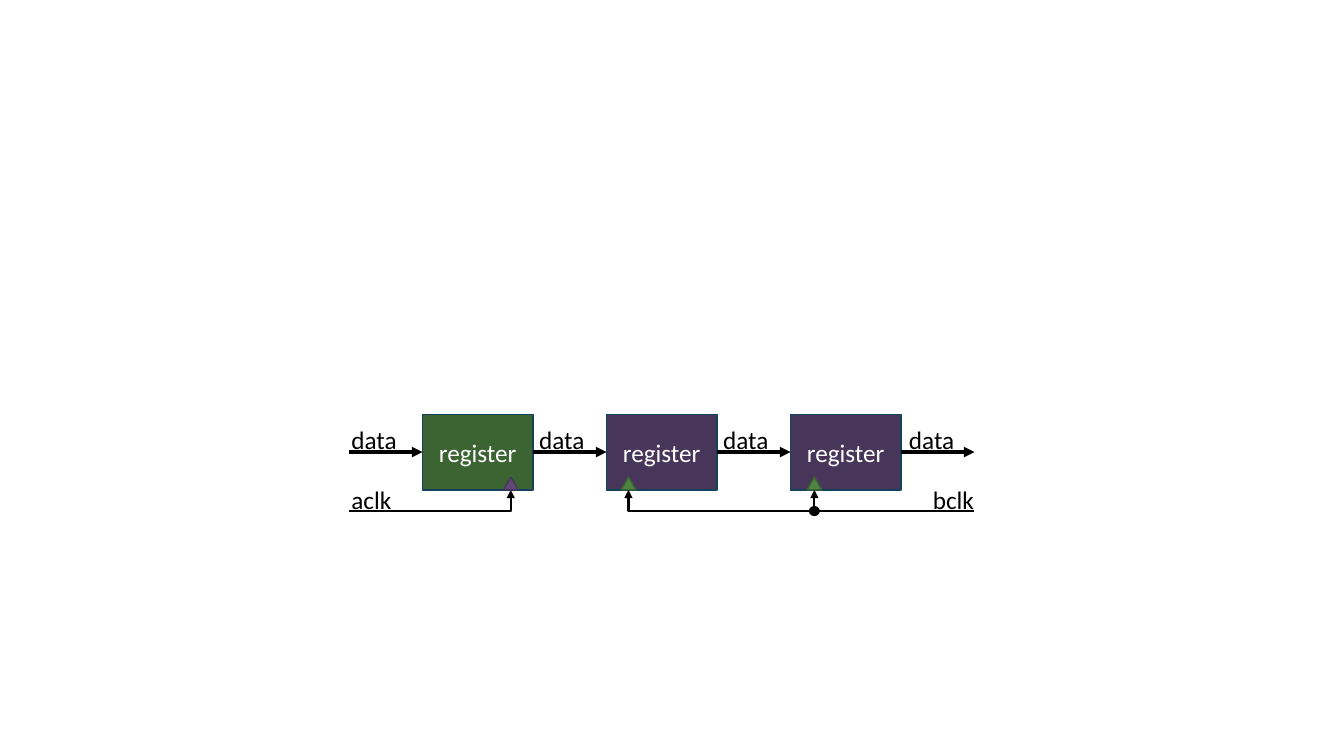
"""Draw a chain of three registers that crosses from one clock to another."""
from dataclasses import dataclass

from pptx import Presentation
from pptx.dml.color import RGBColor
from pptx.enum.shapes import MSO_CONNECTOR as Connector, MSO_SHAPE as Shape
from pptx.enum.text import MSO_ANCHOR as Anchor, MSO_AUTO_SIZE as AutoSize, PP_ALIGN as Align
from pptx.oxml.ns import qn
from pptx.util import Inches, Pt
from lxml.etree import SubElement


@dataclass(frozen=True)
class Theme:
    font: str = "Calibri"
    text_size: float = 18
    ink: str = "000000"
    paper: str = "FFFFFF"
    border: str = "14415C"
    green: str = "3B6432"
    light_green: str = "4E8542"
    purple: str = "48365A"
    light_purple: str = "604878"
    outline: float = 1
    data_wire: float = 2.5
    clock_wire: float = 1.5


@dataclass(frozen=True)
class Grid:
    left: float = 3.46
    top: float = 4.11
    column: float = 1.825
    row: float = 0.375

    def point(self, column, row):
        return Inches(self.left + column * self.column), Inches(self.top + row * self.row)

    def size(self, columns, rows):
        return Inches(columns * self.column), Inches(rows * self.row)


THEME = Theme()
GRID = Grid()
GAP = 0.4
DATA_ROW, CLOCK_ROW, REGISTER_ROWS = 1, 2.56, 2
END = 3 + GAP
PIN_SIZE = (0.08, 0.34)
DOT_SIZE = (0.06, 0.27)


def set_values(target, values):
    for name, value in values.items():
        setattr(target, name, value)


def write(shape, text, color, alignment, frame_values):
    frame = shape.text_frame
    set_values(frame, frame_values)
    paragraph = frame.paragraphs[0]
    paragraph.alignment = alignment
    run = paragraph.add_run()
    run.text = text
    set_values(run.font, {"name": THEME.font, "size": Pt(THEME.text_size)})
    run.font.color.rgb = RGBColor.from_string(color)


def add_block(slide, kind, position, size, fill, border=None):
    shape = slide.shapes.add_shape(kind, *GRID.point(*position), *GRID.size(*size))
    shape.shadow.inherit = False
    shape.fill.solid()
    shape.fill.fore_color.rgb = RGBColor.from_string(fill)
    if border:
        shape.line.color.rgb = RGBColor.from_string(border)
        shape.line.width = Pt(THEME.outline)
    else:
        shape.line.fill.background()
    return shape


def add_register(slide, stage, fill):
    shape = add_block(slide, Shape.RECTANGLE, (stage + GAP, 0),
                      (1 - GAP, REGISTER_ROWS), fill, THEME.border)
    write(shape, "register", THEME.paper, Align.CENTER,
          {"vertical_anchor": Anchor.MIDDLE, "word_wrap": True})


def add_pin(slide, column, fill, border):
    width, height = PIN_SIZE
    add_block(slide, Shape.ISOSCELES_TRIANGLE,
              (column - width / 2, REGISTER_ROWS - height), PIN_SIZE, fill, border)


def add_wire(slide, start, end, width, arrow=True, bent=False):
    kind = Connector.ELBOW if bent else Connector.STRAIGHT
    wire = slide.shapes.add_connector(kind, *GRID.point(*start), *GRID.point(*end))
    wire.line.color.rgb = RGBColor.from_string(THEME.ink)
    wire.line.width = Pt(width)
    properties = wire._element.spPr
    if bent:
        properties.find(qn("a:prstGeom")).set("prst", "bentConnector2")
    if arrow:
        SubElement(wire.line._get_or_add_ln(), qn("a:tailEnd"), type="triangle")
    SubElement(properties, qn("a:effectLst"))


def add_label(slide, text, column, row, columns):
    box = slide.shapes.add_textbox(*GRID.point(column, row), *GRID.size(columns, 1.07))
    write(box, text, THEME.ink, Align.LEFT,
          {"word_wrap": False, "auto_size": AutoSize.SHAPE_TO_FIT_TEXT})


def add_clocks(slide):
    source_pin, first_pin, second_pin = 0.88, 1.52, 2.53
    add_wire(slide, (0, CLOCK_ROW), (source_pin, REGISTER_ROWS), THEME.clock_wire, bent=True)
    add_wire(slide, (second_pin, CLOCK_ROW), (first_pin, REGISTER_ROWS),
             THEME.clock_wire, bent=True)
    add_wire(slide, (second_pin, CLOCK_ROW), (END, CLOCK_ROW), THEME.clock_wire, arrow=False)
    add_wire(slide, (second_pin, CLOCK_ROW), (second_pin, REGISTER_ROWS), THEME.clock_wire)
    width, height = DOT_SIZE
    add_block(slide, Shape.FLOWCHART_CONNECTOR,
              (second_pin - width / 2, CLOCK_ROW - height / 2), DOT_SIZE, THEME.ink)
    add_pin(slide, source_pin, THEME.light_purple, THEME.purple)
    for column in (first_pin, second_pin):
        add_pin(slide, column, THEME.light_green, THEME.green)
    for text, column in (("aclk", -0.04), ("bclk", 3.12)):
        add_label(slide, text, column, 1.73, 0.35)


def main():
    presentation = Presentation()
    set_values(presentation, {"slide_width": Inches(13.33), "slide_height": Inches(7.5)})
    slide = presentation.slides.add_slide(presentation.slide_layouts[6])
    for stage, fill in enumerate((THEME.green, THEME.purple, THEME.purple)):
        add_register(slide, stage, fill)
    for stage, label_column in enumerate((-0.04, 0.98, 1.98, 2.99)):
        add_wire(slide, (stage, DATA_ROW), (stage + GAP, DATA_ROW), THEME.data_wire)
        add_label(slide, "data", label_column, 0.13, 0.42)
    add_clocks(slide)
    presentation.save("out.pptx")


main()
